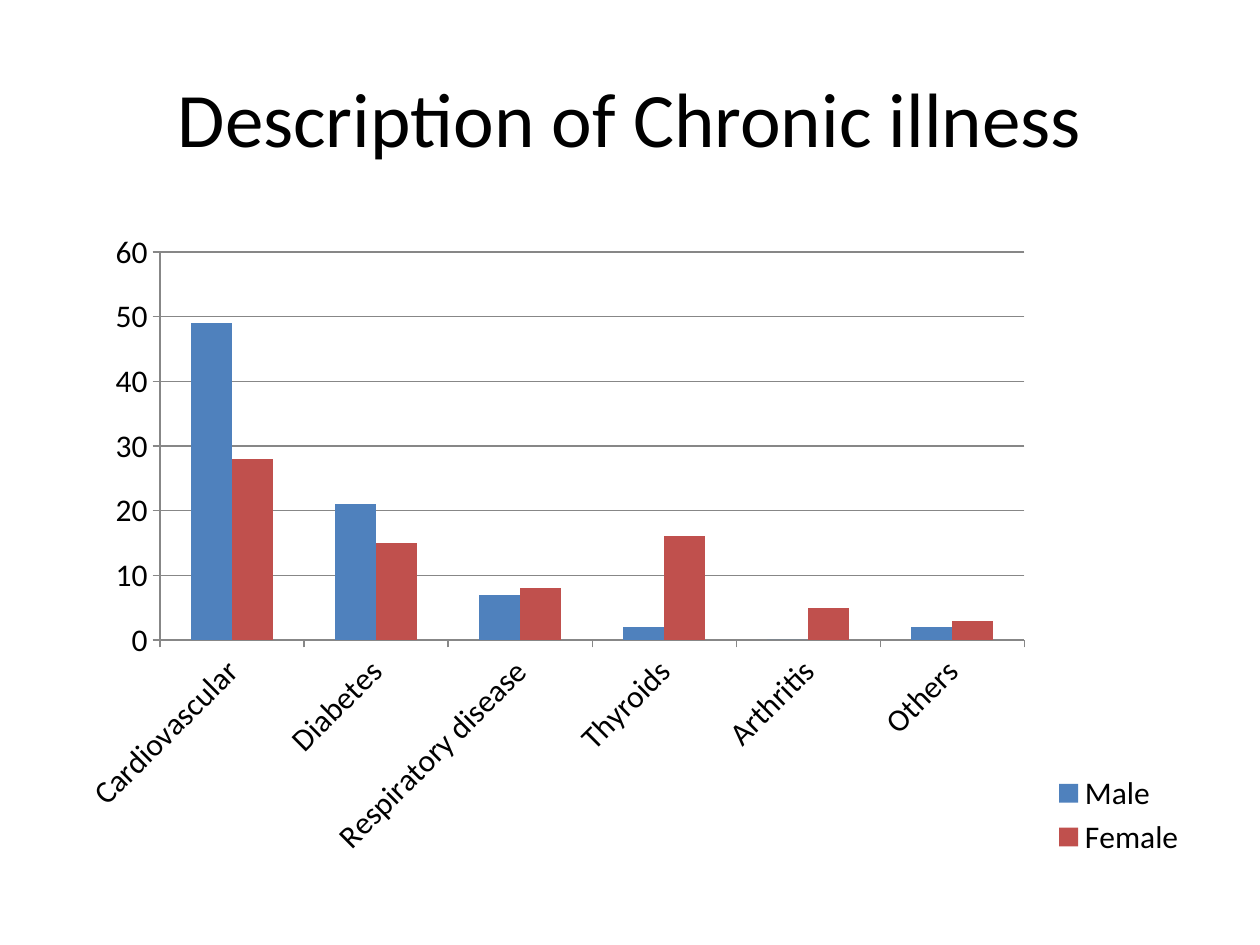
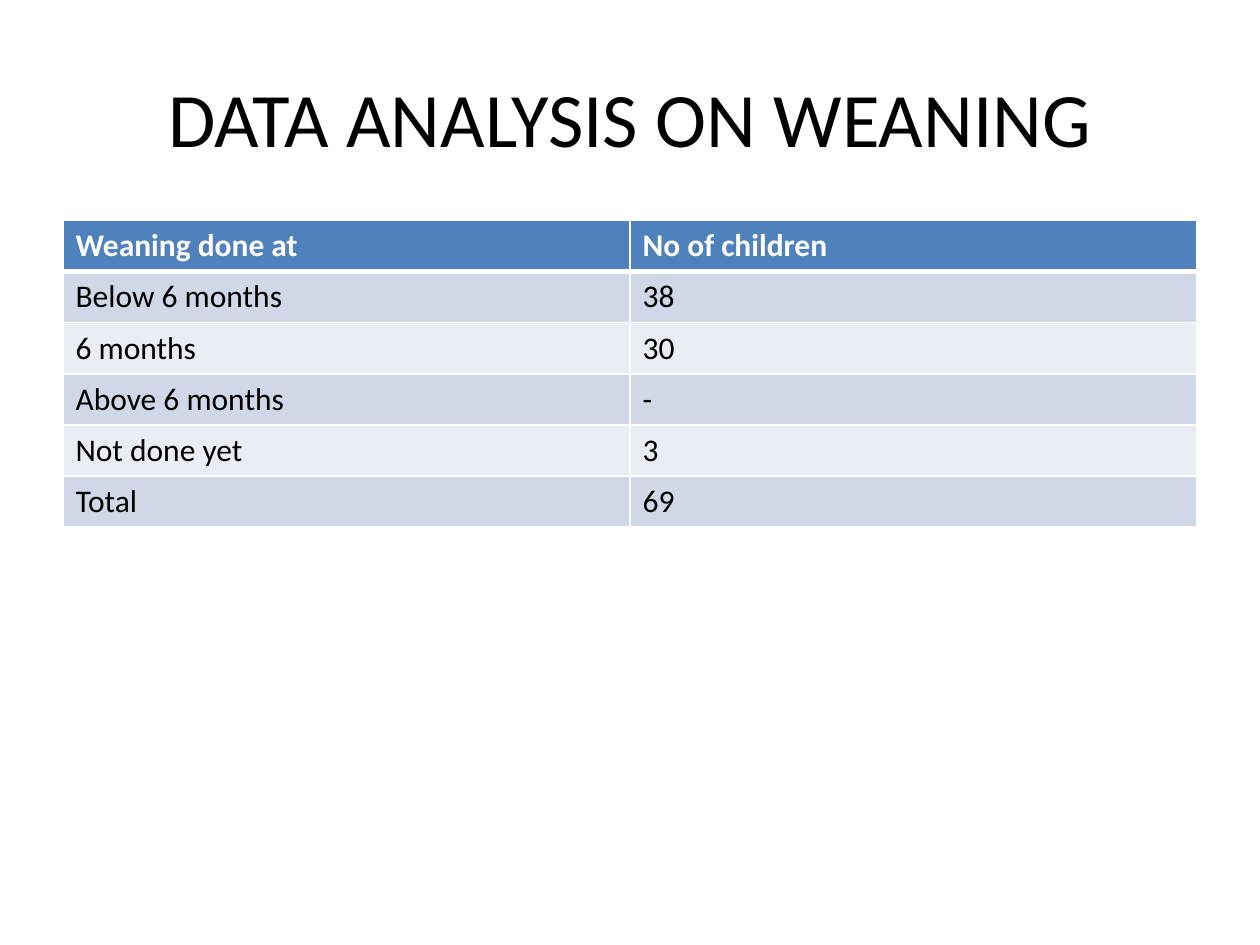
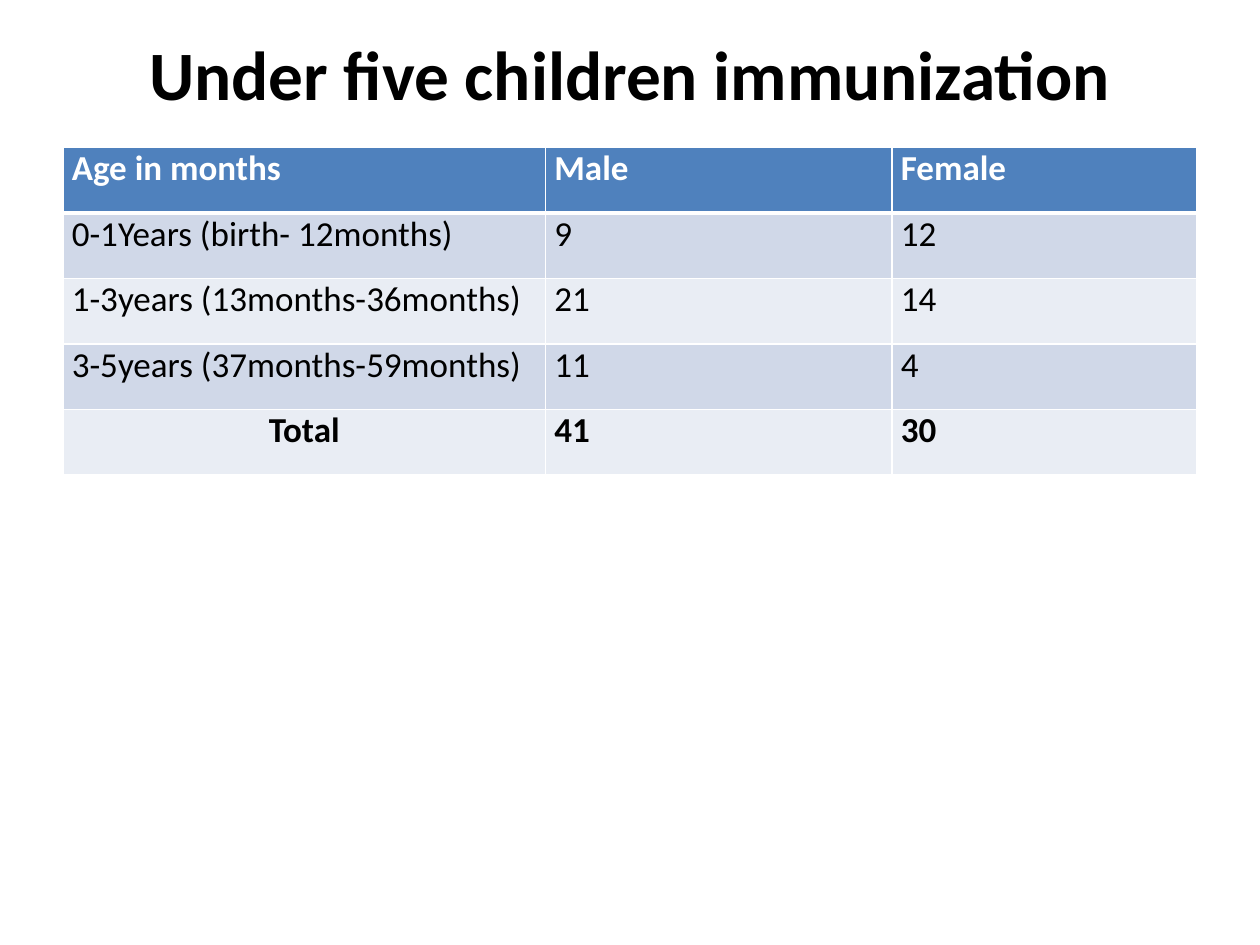
from dataclasses import dataclass

from lxml.etree import SubElement
from pptx import Presentation
from pptx.chart.data import CategoryChartData
from pptx.dml.color import RGBColor
from pptx.enum.chart import XL_CHART_TYPE as ChartType
from pptx.enum.chart import XL_LEGEND_POSITION as LegendPosition
from pptx.enum.chart import XL_TICK_MARK as TickMark
from pptx.enum.text import MSO_ANCHOR as Anchor
from pptx.enum.text import MSO_AUTO_SIZE as AutoSize
from pptx.enum.text import PP_ALIGN as Align
from pptx.oxml.ns import qn
from pptx.util import Inches, Pt

FONT = "Calibri"
BLACK, WHITE, GRAY = "000000", "FFFFFF", "878787"
BLUE, RED = "4F81BD", "C0504D"
BANDS = ("D0D8E8", "E9EDF4")
LEFT, WIDTH = 0.5, 9
CONTENT_TOP = 1.75
CHART_HEIGHT = 5.15
TITLE_ONLY = 5


@dataclass(frozen=True)
class Region:
    """A part of a slide, in inches."""
    left: float
    top: float
    width: float
    height: float


@dataclass(frozen=True)
class TitleStyle:
    top: float = 0.3
    size: float = 44
    bold: bool = False
    anchor: Anchor = Anchor.MIDDLE
    margin_top: float = 0.05


@dataclass(frozen=True)
class DataTable:
    rows: tuple[tuple[str, ...], ...]
    column_widths: tuple[float, ...]
    row_height: float
    font_size: float
    top: float = CONTENT_TOP
    side_margin: float = 0.1
    end_margin: float = 0.05
    emphasize_total: bool = False


CHART_REGION = Region(LEFT, CONTENT_TOP, WIDTH, CHART_HEIGHT)
PLOT_REGION = Region(1.27, 2, 6.86, 3.08)
LEGEND_REGION = Region(8.33, 6.1, 1.1, 0.74)

ILLNESSES = ("Cardiovascular", "Diabetes", "Respiratory disease",
             "Thyroids", "Arthritis", "Others")
ILLNESS_COUNTS = {
    "Male": ((49, 21, 7, 2, 0, 2), BLUE),
    "Female": ((28, 15, 8, 16, 5, 3), RED),
}

WEANING = DataTable(
    rows=(
        ("Weaning done at", "No of children"),
        ("Below 6 months", "38"),
        ("6 months", "30"),
        ("Above 6 months", "-"),
        ("Not done yet", "3"),
        ("Total", "69"),
    ),
    column_widths=(4.5, 4.5), row_height=0.405, font_size=18,
)
IMMUNIZATION = DataTable(
    rows=(
        ("Age in months", "Male", "Female"),
        ("0-1Years (birth- 12months)", "9", "12"),
        ("1-3years (13months-36months)", "21", "14"),
        ("3-5years (37months-59months)", "11", "4"),
        ("Total", "41", "30"),
    ),
    column_widths=(3.83, 2.75, 2.42), row_height=0.52, font_size=20,
    top=1.17, side_margin=0.07, end_margin=0, emphasize_total=True,
)


def rgb(color: str) -> RGBColor:
    return RGBColor.from_string(color)


def set_font(font, size: float, color: str = BLACK, bold: bool = False) -> None:
    font.name, font.size, font.bold = FONT, Pt(size), bold
    font.color.rgb = rgb(color)


def add_titled_slide(prs, text: str, style: TitleStyle = TitleStyle()):
    slide = prs.slides.add_slide(prs.slide_layouts[TITLE_ONLY])
    title = slide.shapes.title
    title.left, title.top = Inches(LEFT), Inches(style.top)
    title.width, title.height = Inches(WIDTH), Inches(1.25)
    frame = title.text_frame
    frame.text = text
    frame.auto_size = AutoSize.NONE
    frame.vertical_anchor = style.anchor
    frame.margin_top = Inches(style.margin_top)
    paragraph = frame.paragraphs[0]
    paragraph.alignment = Align.CENTER
    set_font(paragraph.font, style.size, bold=style.bold)
    return slide


def place_in_chart(parent, index: int, region: Region, inner: bool = False) -> None:
    """Give a chart part a fixed place, as fractions of the chart."""
    for previous in parent.findall(qn("c:layout")):
        parent.remove(previous)
    layout = SubElement(parent, qn("c:layout"))
    parent.insert(index, layout)
    manual = SubElement(layout, qn("c:manualLayout"))
    settings = {"layoutTarget": "inner"} if inner else {}
    settings |= {
        "xMode": "edge",
        "yMode": "edge",
        "x": (region.left - CHART_REGION.left) / CHART_REGION.width,
        "y": (region.top - CHART_REGION.top) / CHART_REGION.height,
        "w": region.width / CHART_REGION.width,
        "h": region.height / CHART_REGION.height,
    }
    for tag, value in settings.items():
        SubElement(manual, qn(f"c:{tag}")).set("val", str(value))


def add_illness_chart(slide) -> None:
    counts = CategoryChartData()
    counts.categories = ILLNESSES
    for sex, (values, _) in ILLNESS_COUNTS.items():
        counts.add_series(sex, values)
    region = CHART_REGION
    chart = slide.shapes.add_chart(
        ChartType.COLUMN_CLUSTERED, Inches(region.left), Inches(region.top),
        Inches(region.width), Inches(region.height), counts).chart
    chart.has_title = False
    set_font(chart.font, 18)

    plot = chart.plots[0]
    plot.gap_width, plot.overlap, plot.vary_by_categories = 150, 0, False
    for series, (_, color) in zip(plot.series, ILLNESS_COUNTS.values()):
        series.format.fill.solid()
        series.format.fill.fore_color.rgb = rgb(color)

    count_axis = chart.value_axis
    count_axis.minimum_scale, count_axis.maximum_scale = 0, 60
    count_axis.major_unit = 10
    count_axis.has_major_gridlines = True
    lines = [count_axis.major_gridlines.format.line]
    for axis in (chart.category_axis, count_axis):
        axis.major_tick_mark = TickMark.OUTSIDE
        set_font(axis.tick_labels.font, 18)
        lines.append(axis.format.line)
    for line in lines:
        line.color.rgb = rgb(GRAY)
        line.width = Pt(0.75)

    chart.has_legend = True
    chart.legend.position = LegendPosition.RIGHT
    chart.legend.include_in_layout = False
    set_font(chart.legend.font, 18)

    root = chart.element
    label_body = root.find(f".//{qn('c:catAx')}/{qn('c:txPr')}/{qn('a:bodyPr')}")
    label_body.set("rot", str(-45 * 60000))
    place_in_chart(root.find(f".//{qn('c:plotArea')}"), 0, PLOT_REGION, inner=True)
    place_in_chart(root.find(f".//{qn('c:legend')}"), 1, LEGEND_REGION)


def set_borders(cell, top: float, bottom: float) -> None:
    """Draw white cell borders; the sides are always 1 point wide."""
    properties = cell._tc.get_or_add_tcPr()
    for side, width in (("L", 1), ("R", 1), ("T", top), ("B", bottom)):
        line = SubElement(properties, qn(f"a:ln{side}"), w=str(Pt(width)))
        fill = SubElement(line, qn("a:solidFill"))
        SubElement(fill, qn("a:srgbClr"), val=WHITE)


def add_data_table(slide, data: DataTable) -> None:
    row_count = len(data.rows)
    table = slide.shapes.add_table(
        row_count, len(data.column_widths), Inches(LEFT), Inches(data.top),
        Inches(WIDTH), Inches(data.row_height * row_count)).table
    for column, width in zip(table.columns, data.column_widths):
        column.width = Inches(width)
    for r, texts in enumerate(data.rows):
        table.rows[r].height = Inches(data.row_height)
        is_header = r == 0
        is_total = data.emphasize_total and r == row_count - 1
        for c, text in enumerate(texts):
            cell = table.cell(r, c)
            cell.text = text
            cell.margin_left = cell.margin_right = Inches(data.side_margin)
            cell.margin_top = cell.margin_bottom = Inches(data.end_margin)
            set_borders(cell, top=3 if r == 1 else 1, bottom=3 if is_header else 1)
            cell.fill.solid()
            cell.fill.fore_color.rgb = rgb(BLUE if is_header else BANDS[(r - 1) % 2])
            paragraph = cell.text_frame.paragraphs[0]
            if is_total and c == 0:
                paragraph.alignment = Align.CENTER
            set_font(paragraph.font, data.font_size,
                     WHITE if is_header else BLACK, is_header or is_total)


def main() -> None:
    prs = Presentation()
    prs.slide_width, prs.slide_height = Inches(10), Inches(7.5)
    add_illness_chart(add_titled_slide(prs, "Description of Chronic illness"))
    add_data_table(add_titled_slide(prs, "DATA ANALYSIS ON WEANING"), WEANING)
    high_title = TitleStyle(top=0.25, size=39.6, bold=True,
                            anchor=Anchor.TOP, margin_top=0)
    add_data_table(
        add_titled_slide(prs, "Under five children immunization", high_title),
        IMMUNIZATION)
    prs.save("out.pptx")


if __name__ == "__main__":
    main()
